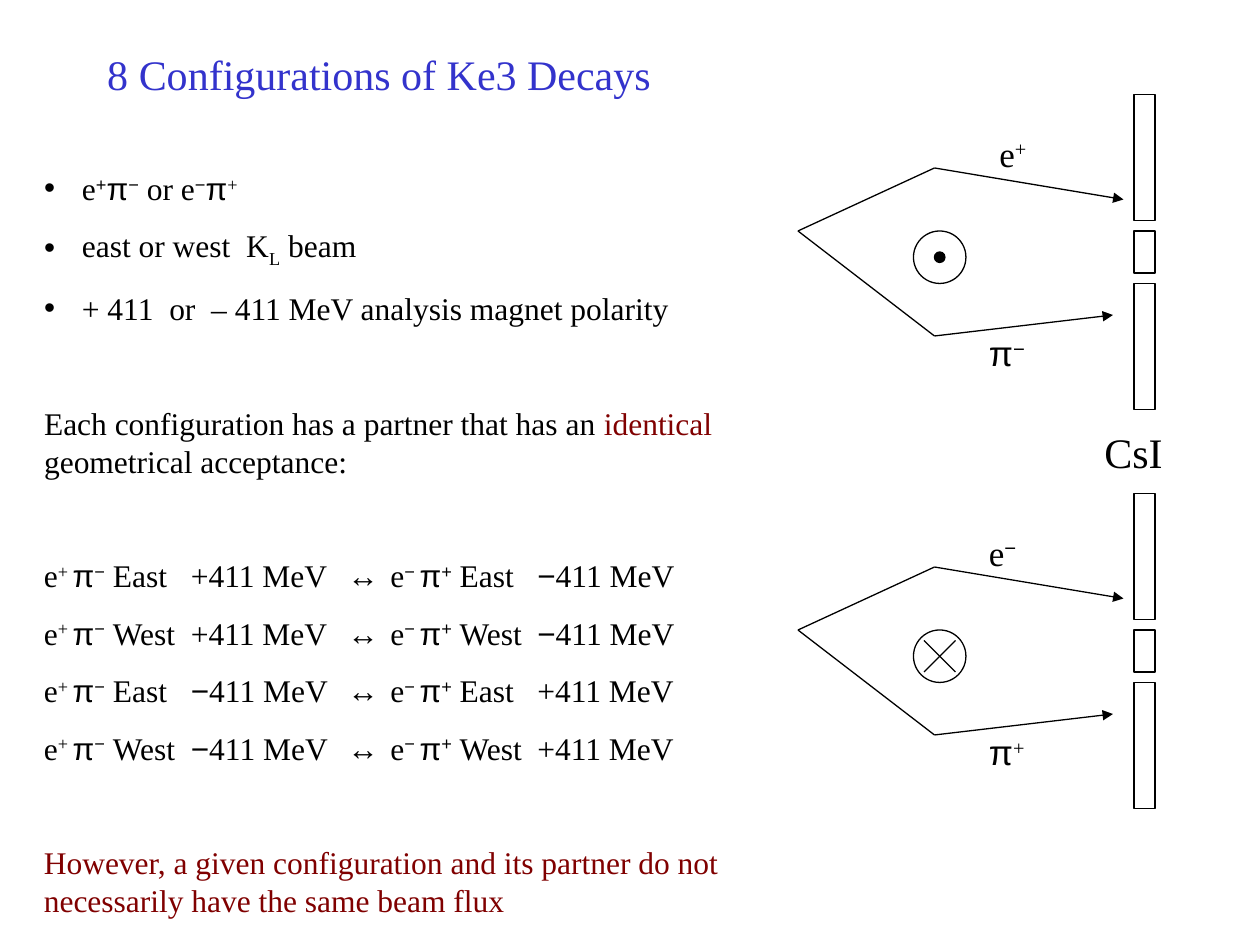
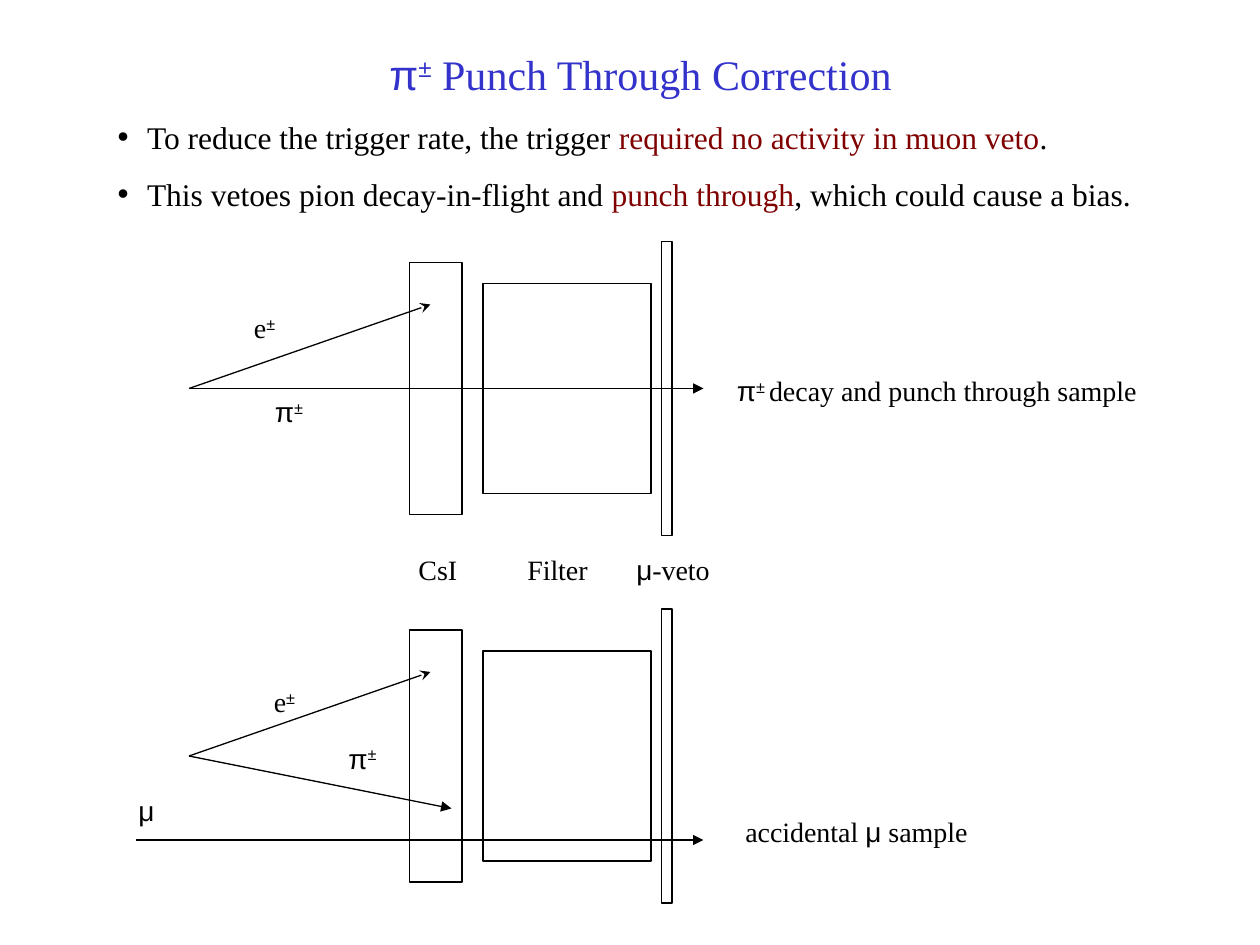
from dataclasses import dataclass
from itertools import groupby

from lxml.etree import SubElement
from pptx import Presentation
from pptx.dml.color import RGBColor
from pptx.enum.shapes import MSO_CONNECTOR, MSO_SHAPE
from pptx.enum.text import MSO_ANCHOR, MSO_AUTO_SIZE, PP_ALIGN
from pptx.oxml.ns import qn
from pptx.util import Pt

EMU_PER_PX = 7620  # 120 px to the inch


@dataclass(frozen=True)
class Theme:
    serif: str = "Times New Roman"
    sans: str = "Arial"
    title: RGBColor = RGBColor(0x33, 0x33, 0xCC)
    ink: RGBColor = RGBColor(0, 0, 0)
    accent: RGBColor = RGBColor(0x80, 0, 0)
    title_size: int = 24
    body_size: int = 18
    particle_size: int = 20
    label_size: int = 16
    line_width: float = 0.75
    item_gap: float = 11.2
    section_gap: int = 44


THEME = Theme()
SANS_SYMBOLS = "πμ−±↔"
BASELINES = {"^": "30000", "_": "-25000"}
PAIR_TABS = (140, 289, 330, 396, 470)


def px(length):
    return round(length * EMU_PER_PX)


def place(shape, left, top, width, height):
    shape.left, shape.top = px(left), px(top)
    shape.width, shape.height = px(width), px(height)


# ---- Text ----

def styled_characters(text):
    """Yield characters with their style: ^ raises and _ lowers the next
    character, ~ sets it in the sans font, * switches the accent colour."""
    baseline, sans, accent = None, False, False
    for character in text:
        if character in BASELINES:
            baseline = BASELINES[character]
        elif character == "~":
            sans = True
        elif character == "*":
            accent = not accent
        else:
            yield character, (baseline, sans or character in SANS_SYMBOLS, accent)
            baseline, sans = None, False


def write(paragraph, text, size, color=THEME.ink, space_before=0):
    paragraph.space_before = Pt(space_before)
    for style, group in groupby(styled_characters(text), key=lambda pair: pair[1]):
        baseline, sans, accent = style
        run = paragraph.add_run()
        run.text = "".join(character for character, _ in group)
        run.font.size = Pt(size)
        run.font.name = THEME.sans if sans else THEME.serif
        run.font.color.rgb = THEME.accent if accent else color
        if baseline:
            run._r.get_or_add_rPr().set("baseline", baseline)


def set_bullet(paragraph, indent):
    """Hang a bullet by the indent, or remove the bullet if it is zero."""
    properties = paragraph._p.get_or_add_pPr()
    properties.set("marL", str(px(indent)))
    properties.set("indent", str(-px(indent)))
    if indent:
        color = SubElement(properties, qn("a:buClr"))
        SubElement(color, qn("a:srgbClr"), val=str(THEME.ink))
        SubElement(properties, qn("a:buChar"), char="•")
    else:
        SubElement(properties, qn("a:buNone"))


def set_tabs(paragraph, positions):
    tab_list = SubElement(paragraph._p.get_or_add_pPr(), qn("a:tabLst"))
    for position in positions:
        SubElement(tab_list, qn("a:tab"), pos=str(px(position)), algn="l")


def paragraph_at(frame, index):
    return frame.add_paragraph() if index else frame.paragraphs[0]


def prepare_placeholder(placeholder, box):
    place(placeholder, *box)
    frame = placeholder.text_frame
    frame.auto_size = MSO_AUTO_SIZE.NONE
    frame.vertical_anchor = MSO_ANCHOR.TOP
    return frame


def add_titled_slide(presentation, title, title_box):
    slide = presentation.slides.add_slide(presentation.slide_layouts[1])
    paragraph = prepare_placeholder(slide.shapes.title, title_box).paragraphs[0]
    paragraph.alignment = PP_ALIGN.CENTER
    write(paragraph, title, THEME.title_size, THEME.title)
    return slide


def fill_body(slide, box, items):
    """Each item is (text, bullet indent, space before)."""
    frame = prepare_placeholder(slide.placeholders[1], box)
    for index, (text, indent, gap) in enumerate(items):
        paragraph = paragraph_at(frame, index)
        set_bullet(paragraph, indent)
        write(paragraph, text, THEME.body_size, space_before=gap if index else 0)


def add_pairs(slide, box, pairs, conclusion):
    """Partner configurations in tabbed columns, then the conclusion."""
    frame = slide.shapes.add_textbox(*(px(length) for length in box)).text_frame
    frame.word_wrap = True
    for index, (beam, polarity, opposite) in enumerate(pairs):
        paragraph = paragraph_at(frame, index)
        set_tabs(paragraph, PAIR_TABS)
        write(paragraph, f"e^+^ π^− {beam}\t{polarity}411 MeV\t↔\t"
                         f"e^−^ π^~+\t{beam}\t{opposite}411 MeV",
              THEME.body_size, space_before=THEME.item_gap if index else 0)
    write(frame.add_paragraph(), conclusion, THEME.body_size, THEME.accent,
          THEME.section_gap)


def add_label(slide, text, left, top, width, size=THEME.label_size, centered=False):
    box = slide.shapes.add_textbox(px(left), px(top), px(width), px(2 * size + 12))
    box.text_frame.word_wrap = True
    paragraph = box.text_frame.paragraphs[0]
    if centered:
        paragraph.alignment = PP_ALIGN.CENTER
    write(paragraph, text, size)


# ---- Drawing ----

def outline(line):
    line.color.rgb = THEME.ink
    line.width = Pt(THEME.line_width)


def add_outlined(slide, kind, left, top, width, height, filled=False):
    shape = slide.shapes.add_shape(kind, px(left), px(top), px(width), px(height))
    shape.shadow.inherit = False
    if filled:
        shape.fill.solid()
        shape.fill.fore_color.rgb = THEME.ink
    else:
        shape.fill.background()
    outline(shape.line)


def add_track(slide, start, end, arrowhead=None):
    track = slide.shapes.add_connector(
        MSO_CONNECTOR.STRAIGHT, *(px(value) for value in (*start, *end)))
    outline(track.line)
    if arrowhead:
        SubElement(track.line._get_or_add_ln(), qn("a:tailEnd"), type=arrowhead)
    SubElement(track._element.spPr, qn("a:effectLst"))


def draw_spectrometer(slide, left, top, electron, pion, electron_left, field_out):
    """Decay bent by a magnet whose field points out of or into the page."""
    for offset, height in ((0, 120), (180, 120), (130, 40)):
        add_outlined(slide, MSO_SHAPE.RECTANGLE, left + 320, top + offset, 20, height)

    decay = (left, top + 130)
    for bend, hit in (((130, 70), (310, 100)), ((130, 230), (300, 210))):
        kink = (left + bend[0], top + bend[1])
        add_track(slide, decay, kink)
        add_track(slide, kink, (left + hit[0], top + hit[1]), "triangle")

    add_outlined(slide, MSO_SHAPE.OVAL, left + 110, top + 130, 50, 50)
    if field_out:
        add_outlined(slide, MSO_SHAPE.OVAL, left + 130, top + 150, 10, 10, filled=True)
    else:
        for first, last in ((140, 170), (170, 140)):
            add_track(slide, (left + 120, top + first), (left + 150, top + last))

    add_label(slide, electron, left + electron_left, top + 30, 80, THEME.particle_size)
    add_label(slide, pion, left + 170, top + 220, 80, THEME.particle_size)


def draw_detector(slide, left, top, tracks):
    """Calorimeter, filter and veto, with tracks given relative to the box."""
    for x, y, width, height in ((260, 20, 50, 240), (330, 40, 160, 200),
                                (500, 0, 10, 280)):
        add_outlined(slide, MSO_SHAPE.RECTANGLE, left + x, top + y, width, height)
    electron = ((50, 140), (280, 60), "stealth")
    for start, end, arrowhead in (electron, *tracks):
        add_track(slide, (left + start[0], top + start[1]),
                  (left + end[0], top + end[1]), arrowhead)


# ---- Slides ----

def build_configurations(presentation):
    slide = add_titled_slide(presentation, "8 Configurations of Ke3 Decays",
                             (26, 40, 670, 60))
    bullets = ("e^~+π^− or e^−π^+", "east or west  K_L beam",
               "+ 411  or  – 411 MeV analysis magnet polarity")
    items = [(text, 36, THEME.item_gap) for text in bullets]
    items.append(("Each configuration has a partner that has an *identical* "
                  "geometrical acceptance:", 0, THEME.section_gap))
    fill_body(slide, (30, 155, 670, 320), items)
    add_pairs(slide, (30, 524, 670, 362),
              (("East", "+", "−"), ("West", "+", "−"),
               ("East", "−", "+"), ("West", "−", "+")),
              "However, a given configuration and its partner do not "
              "necessarily have the same beam flux")

    draw_spectrometer(slide, 760, 90, "e^+", "π^−", 180, field_out=True)
    draw_spectrometer(slide, 760, 470, "e^−", "π^+", 170, field_out=False)
    add_label(slide, "CsI", 1040, 400, 100, THEME.title_size)


def build_punch_through(presentation):
    slide = add_titled_slide(presentation, "π^± Punch Through Correction",
                             (100, 40, 1020, 60))
    bullets = ("To reduce the trigger rate, the trigger "
               "*required no activity in muon veto*.",
               "This vetoes pion decay-in-flight and *punch through*, "
               "which could cause a bias.")
    fill_body(slide, (100, 106, 1020, 110),
              [(text, 28, THEME.item_gap) for text in bullets])

    draw_detector(slide, 130, 230, [((50, 140), (540, 140), "triangle")])
    draw_detector(slide, 130, 580, [((50, 140), (300, 190), "triangle"),
                                    ((0, 220), (540, 220), "triangle")])

    for name, center in (("CsI", 417), ("Filter", 531), ("μ-veto", 641)):
        add_label(slide, name, center - 60, 520, 120, centered=True)
    for text, left, top, width in (
            ("e^±", 230, 290, 90), ("π^±", 250, 370, 60),
            ("π^±^ decay and punch through sample", 690, 350, 440),
            ("e^±", 249, 646, 60), ("π^±", 320, 700, 60),
            ("μ", 120, 750, 80), ("accidental μ sample", 698, 770, 260)):
        add_label(slide, text, left, top, width)


def main():
    presentation = Presentation()
    presentation.slide_width, presentation.slide_height = px(1200), px(900)
    build_configurations(presentation)
    build_punch_through(presentation)
    presentation.save("out.pptx")


if __name__ == "__main__":
    main()
